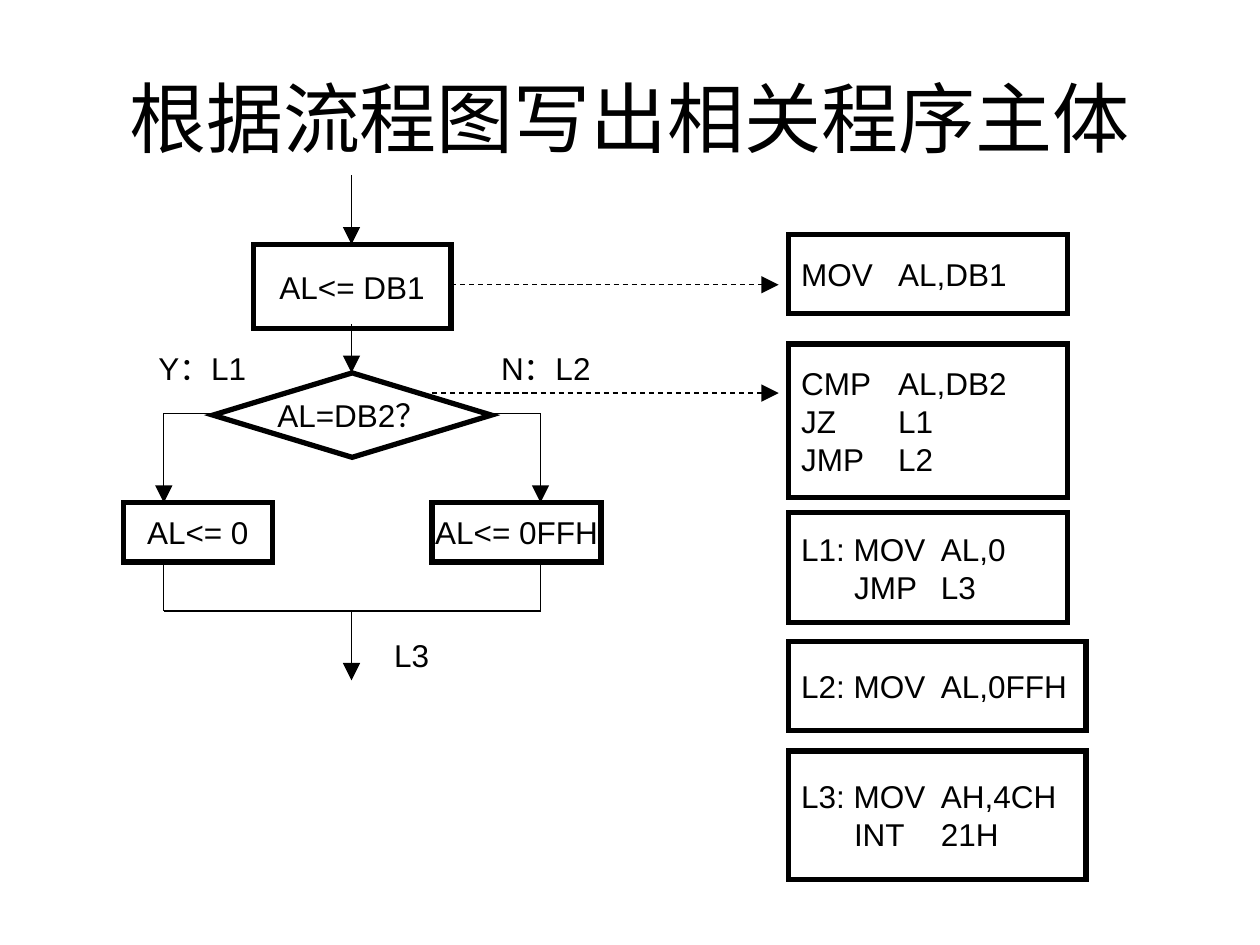
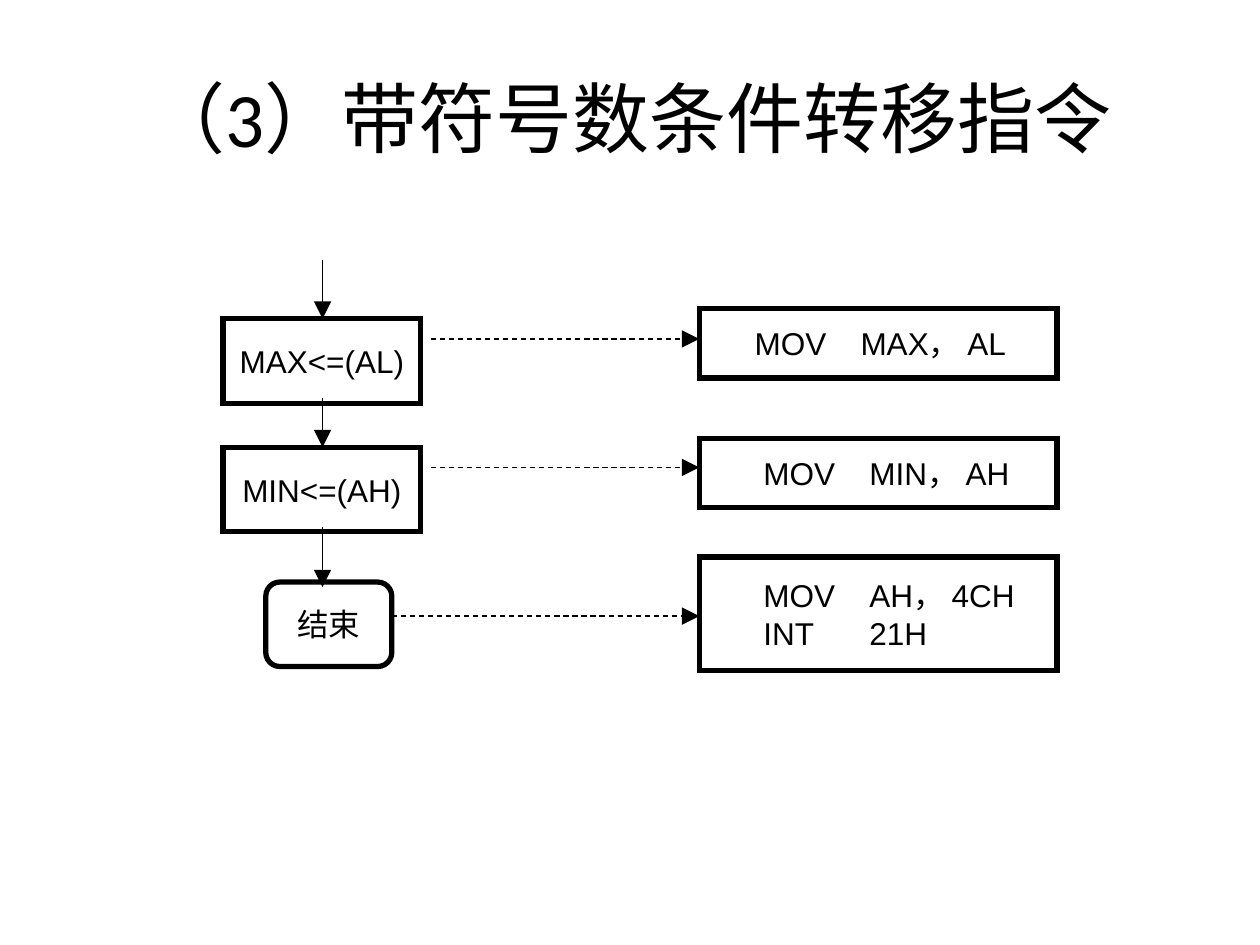
from lxml.etree import SubElement
from pptx import Presentation
from pptx.dml.color import RGBColor
from pptx.enum.dml import MSO_LINE
from pptx.enum.shapes import MSO_CONNECTOR, MSO_SHAPE
from pptx.enum.text import MSO_ANCHOR, PP_ALIGN
from pptx.oxml.ns import qn
from pptx.util import Inches, Pt

INK = "000000"
STEP = MSO_SHAPE.FLOWCHART_PROCESS
TEST = MSO_SHAPE.FLOWCHART_DECISION
STOP = MSO_SHAPE.FLOWCHART_ALTERNATE_PROCESS
TITLE = {"size": Pt(44), "name": "Calibri"}
BODY = {"size": Pt(18), "name": "Arial"}
FRAME = {
    "vertical_anchor": MSO_ANCHOR.MIDDLE,
    "margin_left": Inches(0.1),
    "margin_right": Inches(0.1),
    "margin_top": Inches(0.05),
    "margin_bottom": Inches(0.05),
    "word_wrap": False,
}
LABEL = {**FRAME, "vertical_anchor": MSO_ANCHOR.TOP, "word_wrap": True}


def apply(item, values):
    for name, value in values.items():
        setattr(item, name, value)


def paint(color, code=INK):
    color.rgb = RGBColor.from_string(code)


def write(frame, text, font, align):
    frame.text = text
    for para in frame.paragraphs:
        para.alignment = align
        apply(para.font, font)
        paint(para.font.color)


def set_tabs(frame, stops):
    for para in frame.paragraphs:
        props = para._p.get_or_add_pPr()
        tabs = SubElement(props, qn("a:tabLst"))
        props.insert(0, tabs)
        for stop in stops:
            SubElement(tabs, qn("a:tab"), pos=str(Inches(stop)), algn="l")


def add_title(deck, text):
    slide = deck.slides.add_slide(deck.slide_layouts[5])
    title = slide.shapes.title
    apply(title, {"left": Inches(0.5), "top": Inches(0.3),
                  "width": Inches(9), "height": Inches(1.25)})
    title.text_frame.vertical_anchor = MSO_ANCHOR.MIDDLE
    write(title.text_frame, text, TITLE, PP_ALIGN.CENTER)
    return slide


def add_node(slide, box, text, kind=STEP, align=PP_ALIGN.CENTER):
    node = slide.shapes.add_shape(kind, *map(Inches, box))
    node.shadow.inherit = False
    node.fill.background()
    paint(node.line.color)
    node.line.width = Pt(3)
    SubElement(node.line._get_or_add_ln(), qn("a:miter"), lim="800000")
    apply(node.text_frame, FRAME)
    write(node.text_frame, text, BODY, align)
    return node


def add_code(slide, box, text, stops, inset=0.1):
    node = add_node(slide, box, text, align=PP_ALIGN.LEFT)
    apply(node.text_frame, {"word_wrap": True, "margin_left": Inches(inset)})
    set_tabs(node.text_frame, stops)


def add_label(slide, box, text):
    label = slide.shapes.add_textbox(*map(Inches, box))
    apply(label.text_frame, LABEL)
    write(label.text_frame, text, BODY, PP_ALIGN.LEFT)


def add_line(slide, ends, arrow=True, dash=False):
    line = slide.shapes.add_connector(MSO_CONNECTOR.STRAIGHT, *map(Inches, ends))
    paint(line.line.color)
    line.line.width = Pt(0.75)
    if dash:
        line.line.dash_style = MSO_LINE.DASH
    if arrow:
        SubElement(line.line._get_or_add_ln(), qn("a:tailEnd"),
                   type="triangle", w="lg", len="lg")
    SubElement(line._element.spPr, qn("a:effectLst"))


def draw_branch(slide, left, top):
    mid, yes, no = left + 1.81, left + 0.32, left + 3.31
    nodes = [
        (1.03, 0.55, 1.57, 0.67, "AL<= DB1", STEP),
        (0.71, 1.57, 2.21, 0.67, "AL=DB2？", TEST),
        (0, 2.6, 1.18, 0.47, "AL<= 0", STEP),
        (2.45, 2.6, 1.34, 0.47, "AL<= 0FFH", STEP),
    ]
    for x, y, wide, high, text, kind in nodes:
        add_node(slide, (left + x, top + y, wide, high), text, kind)
    for start, end in [(0, 0.55), (1.18, 1.57), (3.46, 4.01)]:
        add_line(slide, (mid, top + start, mid, top + end))
    for x, tip in [(yes, left + 0.71), (no, left + 2.92)]:
        add_line(slide, (x, top + 1.89, tip, top + 1.89), arrow=False)
        add_line(slide, (x, top + 1.89, x, top + 2.6))
        add_line(slide, (x, top + 3.07, x, top + 3.46), arrow=False)
    add_line(slide, (yes, top + 3.46, no, top + 3.46), arrow=False)
    for x, y in [(2.6, 0.87), (2.45, 1.73)]:
        add_line(slide, (left + x, top + y, left + 5.2, top + y), dash=True)
    labels = [(0.18, 1.33, 1.2, "Y：L1"), (2.9, 1.33, 1.2, "N：L2"),
              (2.05, 3.61, 0.6, "L3")]
    for x, y, wide, text in labels:
        add_label(slide, (left + x, top + y, wide, 0.4), text)


def draw_listing(slide, left, top):
    short, long = [0.77], [0.42, 1.11]
    blocks = [
        (0, 2.21, 0.63, "MOV\tAL,DB1", short),
        (0.87, 2.21, 1.22, "CMP\tAL,DB2\nJZ\tL1\nJMP\tL2", short),
        (2.21, 2.21, 0.87, "L1: MOV\tAL,0\n\tJMP\tL3", long),
        (3.23, 2.36, 0.71, "L2: MOV\tAL,0FFH", long),
        (4.1, 2.36, 1.02, "L3: MOV\tAH,4CH\n\tINT\t21H", long),
    ]
    for y, wide, high, text, stops in blocks:
        add_code(slide, (left, top + y, wide, high), text, stops)


def draw_steps(slide, left, top):
    mid = left + 0.79
    nodes = [(0, 0.47, 1.57, "MAX<=(AL)", STEP),
             (0, 1.49, 1.57, "MIN<=(AH)", STEP),
             (0.34, 2.56, 1, "结束", STOP)]
    for x, y, wide, text, kind in nodes:
        add_node(slide, (left + x, top + y, wide, 0.67), text, kind)
    for start, end in [(0, 0.47), (1.1, 1.49), (2.12, 2.6)]:
        add_line(slide, (mid, top + start, mid, top + end))
    for x, y in [(1.65, 0.63), (1.65, 1.65), (1.34, 2.83)]:
        add_line(slide, (left + x, top + y, left + 3.78, top + y), dash=True)


def draw_moves(slide, left, top):
    blocks = [(0, 0.55, "MOV\tMAX， AL", 0.44),
              (1.03, 0.55, "MOV\tMIN， AH", 0.51),
              (1.97, 0.9, "MOV\tAH， 4CH\nINT\t21H", 0.51)]
    for y, high, text, inset in blocks:
        add_code(slide, (left, top + y, 2.84, high), text, [0.84], inset)


def main():
    deck = Presentation()
    apply(deck, {"slide_width": Inches(10), "slide_height": Inches(7.5)})
    slide = add_title(deck, "根据流程图写出相关程序主体")
    draw_branch(slide, 0.98, 1.39)
    draw_listing(slide, 6.26, 1.86)
    slide = add_title(deck, "（3）带符号数条件转移指令")
    draw_steps(slide, 1.77, 2.06)
    draw_moves(slide, 5.55, 2.45)
    deck.save("out.pptx")


if __name__ == "__main__":
    main()
